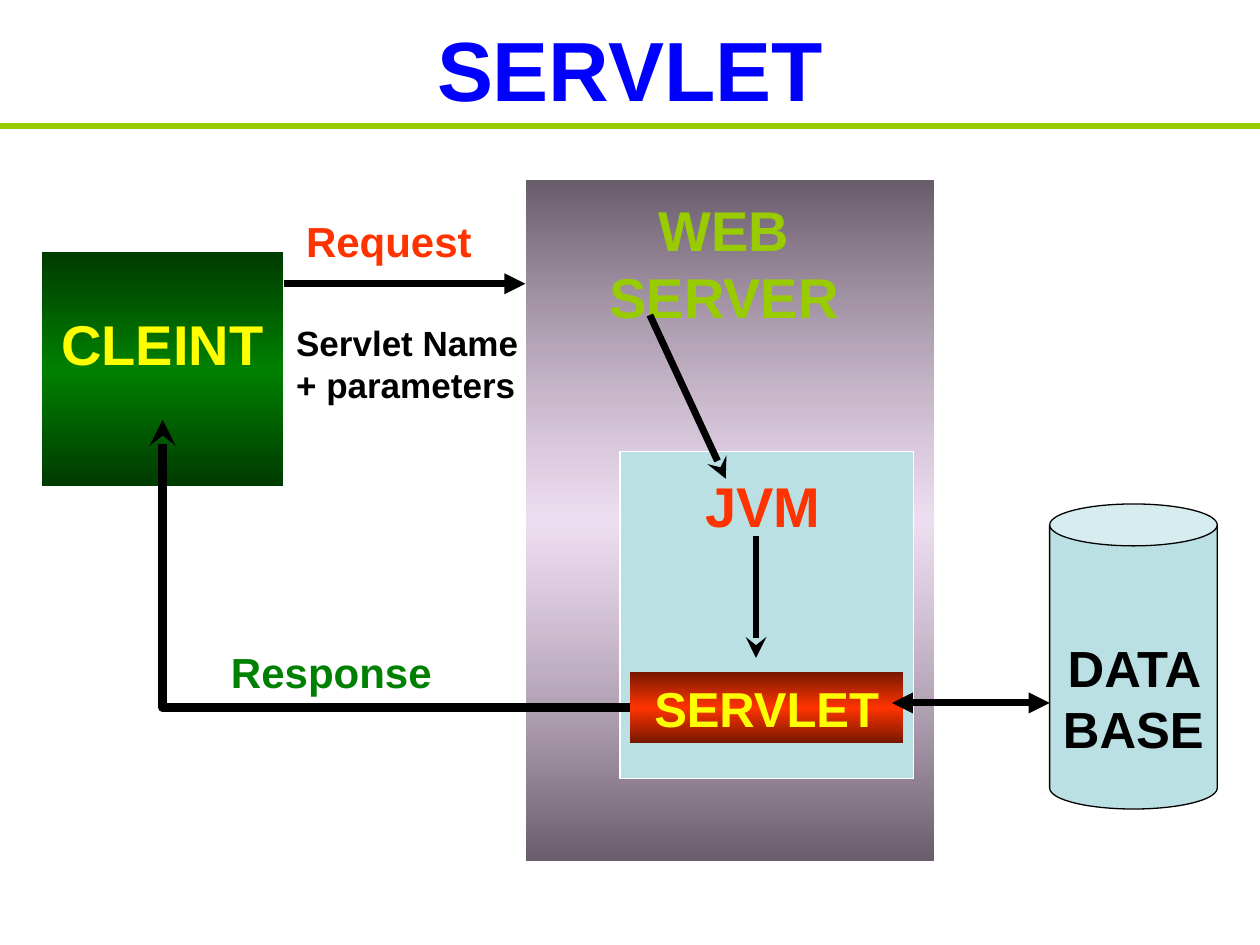
from dataclasses import dataclass
from typing import Optional

import lxml.etree
import pptx
import pptx.dml.color
import pptx.enum.shapes
import pptx.enum.text
import pptx.oxml
import pptx.oxml.ns
import pptx.util

Cm, Pt = pptx.util.Cm, pptx.util.Pt
SHAPE = pptx.enum.shapes.MSO_SHAPE
CONNECTOR = pptx.enum.shapes.MSO_CONNECTOR
ALIGN = pptx.enum.text.PP_ALIGN
ANCHOR = pptx.enum.text.MSO_ANCHOR
qn = pptx.oxml.ns.qn


@dataclass(frozen=True)
class Theme:
    font: str = "Arial"
    blue: str = "0000FF"
    lime: str = "99CC00"
    red: str = "FF3300"
    maroon: str = "751700"
    green: str = "008000"
    forest: str = "003B00"
    yellow: str = "FFFF00"
    black: str = "000000"
    white: str = "FFFFFF"
    aqua: str = "BBE0E3"
    mauve: str = "685B6A"
    lilac: str = "E2C6E6"
    title: float = 48
    heading: float = 32
    database: float = 29
    servlet: float = 28
    flow: float = 24
    detail: float = 20


T = Theme()


@dataclass(frozen=True)
class Label:
    text: str
    size: float
    color: str
    align: ALIGN = ALIGN.CENTER
    anchor: ANCHOR = ANCHOR.TOP
    top_inset: float = 0.13


@dataclass(frozen=True)
class Box:
    at: tuple[float, float, float, float]
    fill: Optional[str] = None
    edge: Optional[str] = None    # outer colour of a vertical gradient
    alpha: int = 100              # opacity of the gradient's middle, percent
    outline: Optional[str] = None
    label: Optional[Label] = None
    kind: SHAPE = SHAPE.RECTANGLE


@dataclass(frozen=True)
class Line:
    start: tuple[float, float]
    end: tuple[float, float]
    color: str = T.black
    width: float = 4
    head: str = "none"
    tail: str = "none"


def rgb(color: str):
    return pptx.dml.color.RGBColor.from_string(color)


def write(sp, label: Label) -> None:
    tf = sp.text_frame
    frame = {"word_wrap": True, "vertical_anchor": label.anchor,
             "margin_top": Cm(label.top_inset)}
    for name, value in frame.items():
        setattr(tf, name, value)
    p = tf.paragraphs[0]
    p.alignment = label.align
    r = p.add_run()
    r.text = label.text
    for name, value in {"name": T.font, "size": Pt(label.size), "bold": True}.items():
        setattr(r.font, name, value)
    r.font.color.rgb = rgb(label.color)


def fill_gradient(sp, edge: str, middle: str, alpha: int) -> None:
    sp.fill.gradient()
    sp.fill.gradient_angle = 270  # counter-clockwise, so top to bottom
    stops = sp._element.spPr.find(qn("a:gradFill")).find(qn("a:gsLst"))
    for stop in list(stops):
        stops.remove(stop)
    for pos, color, opacity in ((0, edge, 100), (50, middle, alpha), (100, edge, 100)):
        gs = lxml.etree.SubElement(stops, qn("a:gs"), pos=str(pos * 1000))
        clr = lxml.etree.SubElement(gs, qn("a:srgbClr"), val=color)
        if opacity < 100:
            lxml.etree.SubElement(clr, qn("a:alpha"), val=str(opacity * 1000))


def draw_box(s, box: Box):
    sp = s.shapes.add_shape(box.kind, *map(Cm, box.at))
    sp.shadow.inherit = False
    if box.edge:
        fill_gradient(sp, box.edge, box.fill, box.alpha)
    else:
        sp.fill.solid()
        sp.fill.fore_color.rgb = rgb(box.fill)
    if box.outline:
        sp.line.color.rgb = rgb(box.outline)
        sp.line.width = Pt(0.75)
    else:
        sp.line.fill.background()
    if box.label:
        write(sp, box.label)
    return sp


def draw_label(s, at: tuple[float, float, float, float], label: Label) -> None:
    write(s.shapes.add_textbox(*map(Cm, at)), label)


def draw_line(s, line: Line, kind: CONNECTOR = CONNECTOR.STRAIGHT):
    cx = s.shapes.add_connector(kind, *map(Cm, line.start + line.end))
    cx.line.color.rgb = rgb(line.color)
    cx.line.width = Pt(line.width)
    ln = cx.line._get_or_add_ln()
    for tag, arrow in (("a:headEnd", line.head), ("a:tailEnd", line.tail)):
        lxml.etree.SubElement(ln, qn(tag), type=arrow)
    lxml.etree.SubElement(cx._element.spPr, qn("a:effectLst"))
    return cx


def draw_corner(s, line: Line, source, site: int) -> None:
    """One bend: leaves the source leftwards, then turns up."""
    cx = draw_line(s, line, CONNECTOR.ELBOW)
    cx.begin_connect(source, site)
    spPr = cx._element.spPr
    spPr.find(qn("a:prstGeom")).set("prst", "bentConnector2")
    xfrm = spPr.find(qn("a:xfrm"))
    for flip in ("flipH", "flipV"):
        xfrm.attrib.pop(flip, None)
    xfrm.set("rot", str(180 * 60000))


def main() -> None:
    prs = pptx.Presentation()
    prs.slide_width, prs.slide_height = Cm(25.4), Cm(19.05)
    s = prs.slides.add_slide(prs.slide_layouts[6])

    # Title and rule
    draw_label(s, (1.27, 0, 22.86, 2.74),
               Label("SERVLET", T.title, T.blue, anchor=ANCHOR.MIDDLE))
    draw_line(s, Line((0, 2.54), (25.4, 2.54), T.lime, 3))

    # Web server, JVM, servlet, client and database
    draw_box(s, Box((10.59, 3.61, 8.25, 13.76), T.lilac, T.mauve, 58, T.white))
    draw_box(s, Box((12.5, 9.1, 5.92, 6.6), T.aqua, outline=T.white))
    servlet = draw_box(s, Box((12.7, 13.54, 5.51, 1.45), T.red, T.maroon,
                              label=Label("SERVLET", T.servlet, T.yellow)))
    draw_box(s, Box((0.84, 5.08, 4.87, 4.72), T.green, T.forest,
                    label=Label("CLEINT", T.heading, T.yellow, top_inset=1.16)))
    draw_box(s, Box((21.16, 10.16, 3.38, 6.15), T.aqua, outline=T.black, kind=SHAPE.CAN))

    # Labels
    for at, label in (
        ((10.8, 3.81, 7.6, 2.97), Label("WEB SERVER", T.heading, T.lime)),
        ((13.1, 9.37, 4.55, 1.63), Label("JVM", T.heading, T.red)),
        ((5.72, 4.22, 4.24, 1.27), Label("Request", T.flow, T.red)),
        ((4.24, 12.9, 4.88, 1.27), Label("Response", T.flow, T.green)),
        ((5.72, 6.35, 5.08, 1.96),
         Label("Servlet Name + parameters", T.detail, T.black, ALIGN.LEFT)),
        ((21.16, 12.7, 3.38, 2.72), Label("DATA BASE", T.database, T.black)),
    ):
        draw_label(s, at, label)

    # Arrows
    for line in (
        Line((13.1, 6.35), (14.63, 9.65), tail="stealth"),
        Line((15.24, 10.8), (15.24, 13.26), tail="stealth"),
        Line((5.72, 5.72), (10.59, 5.72), tail="triangle"),
        Line((17.98, 14.17), (21.16, 14.17), head="triangle", tail="triangle"),
    ):
        draw_line(s, line)
    draw_corner(s, Line((12.7, 14.27), (3.28, 8.46), width=5, tail="stealth"), servlet, 1)

    prs.save("out.pptx")


if __name__ == "__main__":
    main()
